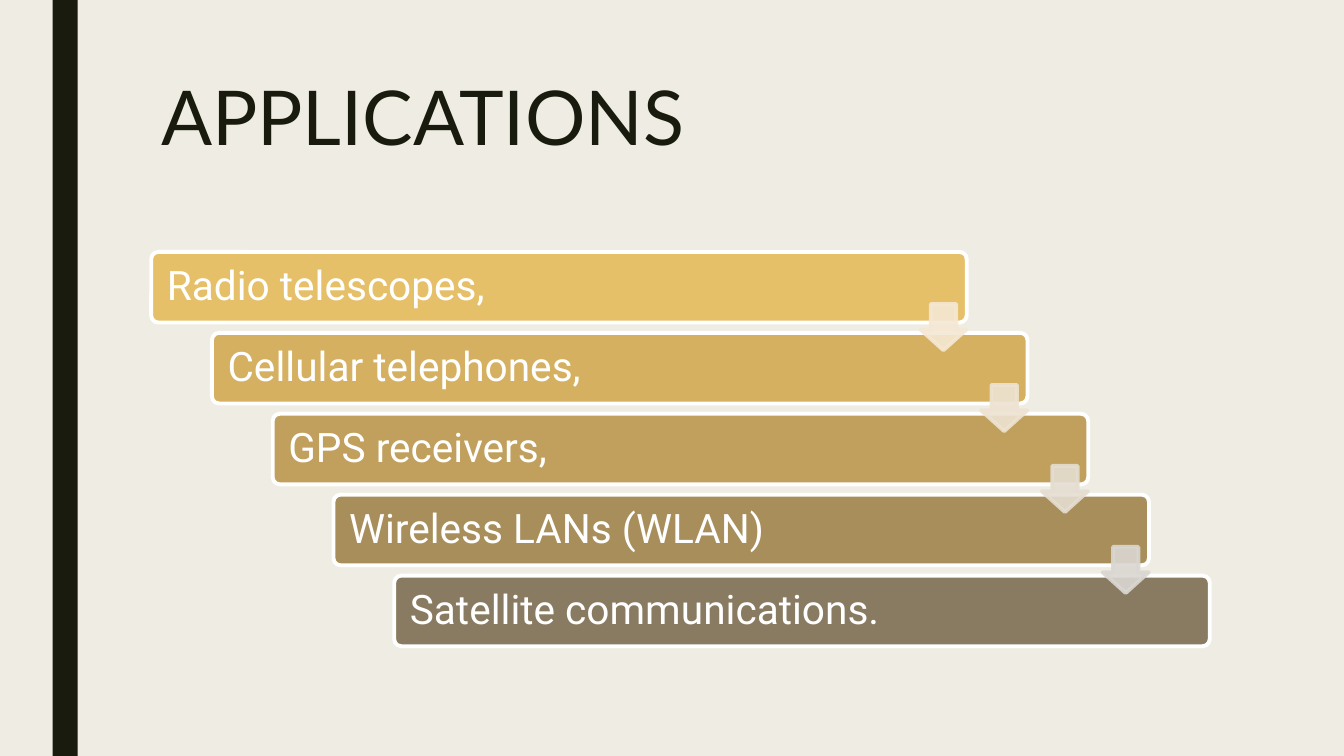
from lxml.etree import SubElement
from pptx import Presentation
from pptx.dml.color import RGBColor
from pptx.enum.shapes import MSO_SHAPE
from pptx.enum.text import MSO_ANCHOR, PP_ALIGN
from pptx.oxml.ns import qn
from pptx.util import Pt

THEME = {
    "background": "EFEDE3",
    "dark": "191B0E",
    "white": "FFFFFF",
    "bars": ["E6C069", "D5B061", "C0A05C", "A88E5B", "897B61"],
    "arrows": ["F5E8D4", "EEE3D2", "E5DDD1", "DAD7D2"],
    "title_font": "Lato",
    "body_font": "Roboto",
    "title_size": 54,
    "body_size": 29,
}


def write(sp, text, *, font, size, color, anchor, inset=(7.2, 3.6), spacing=0.9):
    tf = sp.text_frame
    tf.word_wrap = True
    tf.vertical_anchor = anchor
    tf.margin_left = tf.margin_right = Pt(inset[0])
    tf.margin_top = tf.margin_bottom = Pt(inset[1])
    p = tf.paragraphs[0]
    p.alignment = PP_ALIGN.LEFT
    p.line_spacing = spacing
    r = p.add_run()
    r.text = text
    r.font.name = font
    r.font.size = Pt(size)
    r.font.color.rgb = RGBColor.from_string(color)


def add_block(kind, left, top, width, height, fill, line=None, opacity=100):
    sp = s.shapes.add_shape(kind, Pt(left), Pt(top), Pt(width), Pt(height))
    sp.shadow.inherit = False
    sp.fill.solid()
    sp.fill.fore_color.rgb = RGBColor.from_string(fill)
    if line:
        sp.line.color.rgb = RGBColor.from_string(line)
        sp.line.width = Pt(2.75)
    else:
        sp.line.fill.background()
    if opacity < 100:
        for color in sp._element.spPr.iter(qn("a:srgbClr")):
            SubElement(color, qn("a:alpha"), val=str(opacity * 1000))
    return sp


prs = Presentation()
prs.slide_width, prs.slide_height = Pt(960), Pt(540)
s = prs.slides.add_slide(prs.slide_layouts[6])
s.background.fill.solid()
s.background.fill.fore_color.rgb = RGBColor.from_string(THEME["background"])

add_block(MSO_SHAPE.RECTANGLE, 37.5, 0, 18, 540, THEME["dark"])

title = s.shapes.add_textbox(Pt(108), Pt(54), Pt(756), Pt(94.5))
write(title, "APPLICATIONS", font=THEME["title_font"], size=THEME["title_size"],
      color=THEME["dark"], anchor=MSO_ANCHOR.TOP, spacing=0.89)

applications = [
    "Radio telescopes,",
    "Cellular telephones,",
    "GPS receivers,",
    "Wireless LANs (WLAN)",
    "Satellite communications.",
]
step_x, step_y = 43.4, 57.8

for i, (text, fill) in enumerate(zip(applications, THEME["bars"])):
    bar = add_block(MSO_SHAPE.ROUNDED_RECTANGLE, 108 + i * step_x, 180 + i * step_y,
                    582.5, 50.4, fill, THEME["white"])
    bar.adjustments[0] = 0.1
    write(bar, text, font=THEME["body_font"], size=THEME["body_size"],
          color=THEME["white"], anchor=MSO_ANCHOR.MIDDLE, inset=(9.7, 8.6))

for i, fill in enumerate(THEME["arrows"]):
    arrow = add_block(MSO_SHAPE.DOWN_ARROW, 657.4 + i * step_x, 217.2 + i * step_y,
                      33, 33, fill, fill, opacity=90)
    arrow.adjustments[0] = 0.55
    arrow.adjustments[1] = 0.45

prs.save("out.pptx")
